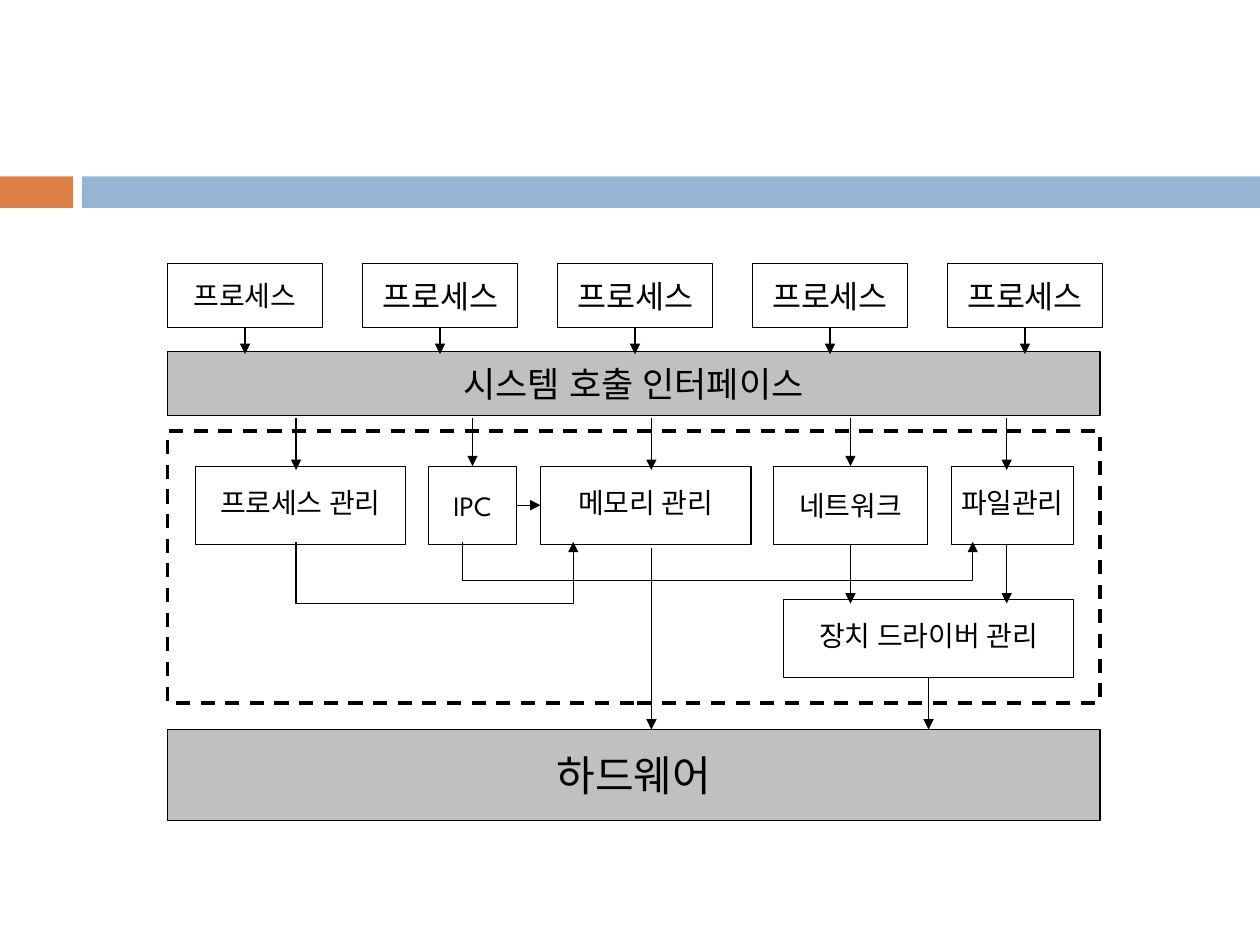
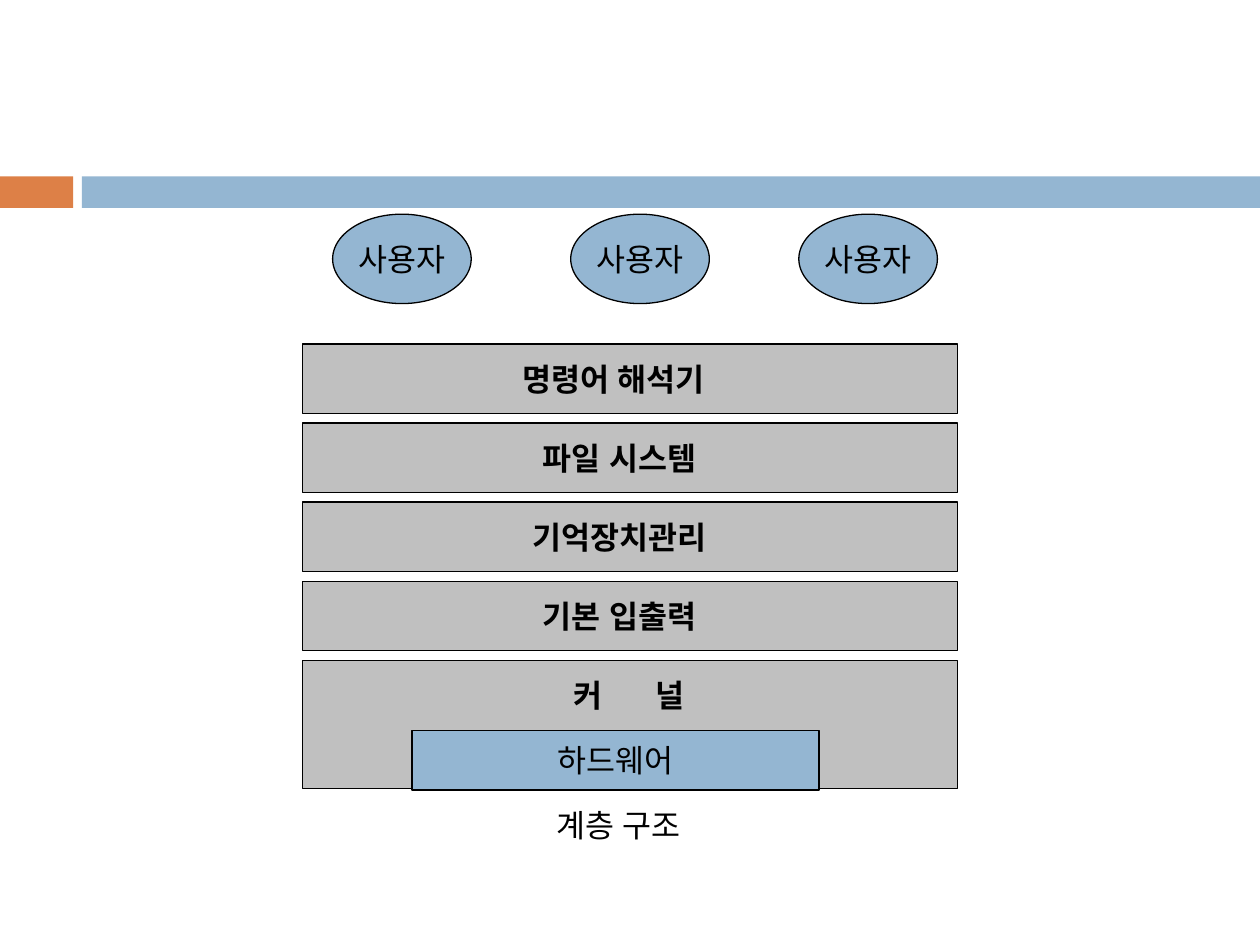
from dataclasses import dataclass
from typing import Optional

from lxml import etree
from pptx import Presentation
from pptx.dml.color import RGBColor
from pptx.enum.dml import MSO_LINE
from pptx.enum.shapes import MSO_CONNECTOR, MSO_SHAPE
from pptx.enum.text import MSO_ANCHOR, PP_ALIGN
from pptx.oxml.ns import qn
from pptx.util import Inches, Pt

RECT, OVAL = MSO_SHAPE.RECTANGLE, MSO_SHAPE.OVAL
STRAIGHT = MSO_CONNECTOR.STRAIGHT
DASH = MSO_LINE.DASH
LEFT, CENTER = PP_ALIGN.LEFT, PP_ALIGN.CENTER
TOP, MIDDLE = MSO_ANCHOR.TOP, MSO_ANCHOR.MIDDLE
SITE_TOP, SITE_LEFT, SITE_BOTTOM, SITE_RIGHT = range(4)


@dataclass(frozen=True)
class Theme:
    font: str = "League Spartan"
    ink: str = "000000"
    orange: str = "DD8047"
    blue: str = "94B6D2"
    grey: str = "C0C0C0"
    small: int = 16
    body: int = 18
    large: int = 20
    huge: int = 24
    thin: float = 0.75
    thick: float = 2


T = Theme()


@dataclass(frozen=True)
class Box:
    x: float
    y: float
    w: float
    h: float
    text: str = ""
    size: int = T.body
    fill: Optional[str] = None
    line: Optional[str] = T.ink
    shape: int = RECT
    spacing: Optional[float] = None


@dataclass(frozen=True)
class Label:
    x: float
    y: float
    w: float
    text: str
    bold: bool = True
    tab: Optional[float] = None


@dataclass(frozen=True)
class Arrow:
    x1: float
    y1: float
    x2: float
    y2: float
    start: Optional[tuple] = None  # (shape, connection site)
    end: Optional[tuple] = None


# ---- drawing helpers ----
def write(tf, text, size, align, bold=False, spacing=None, tab=None):
    p = tf.paragraphs[0]
    p.alignment = align
    if spacing:
        p.line_spacing = spacing
    if tab:
        tabs = etree.SubElement(p._p.get_or_add_pPr(), qn("a:tabLst"))
        etree.SubElement(tabs, qn("a:tab"), pos=str(Inches(tab)), algn="l")
    r = p.add_run()
    r.text = text
    for name, value in {"name": T.font, "size": Pt(size), "bold": bold}.items():
        setattr(r.font, name, value)
    r.font.color.rgb = RGBColor.from_string(T.ink)
    etree.SubElement(r._r.get_or_add_rPr(), qn("a:ea"), typeface=T.font)


def set_line(line, color=T.ink, width=T.thin, arrow=False):
    line.color.rgb = RGBColor.from_string(color)
    line.width = Pt(width)
    if arrow:
        etree.SubElement(line._get_or_add_ln(), qn("a:tailEnd"), type="triangle")


def add_box(s, b: Box):
    sp = s.shapes.add_shape(b.shape, Inches(b.x), Inches(b.y), Inches(b.w), Inches(b.h))
    sp.shadow.inherit = False
    if b.fill:
        sp.fill.solid()
        sp.fill.fore_color.rgb = RGBColor.from_string(b.fill)
    else:
        sp.fill.background()
    if b.line:
        set_line(sp.line, b.line)
    else:
        sp.line.fill.background()
    if b.text:
        tf = sp.text_frame
        for name, value in {"word_wrap": False, "vertical_anchor": MIDDLE}.items():
            setattr(tf, name, value)
        write(tf, b.text, b.size, CENTER, spacing=b.spacing)
    return sp


def add_label(s, lb: Label) -> None:
    sp = s.shapes.add_textbox(Inches(lb.x), Inches(lb.y), Inches(lb.w), Inches(0.4))
    tf = sp.text_frame
    for name, value in {"word_wrap": True, "vertical_anchor": TOP}.items():
        setattr(tf, name, value)
    write(tf, lb.text, T.body, LEFT, bold=lb.bold, tab=lb.tab)


def add_arrow(s, a: Arrow) -> None:
    c = s.shapes.add_connector(STRAIGHT, Inches(a.x1), Inches(a.y1),
                               Inches(a.x2), Inches(a.y2))
    if a.start:
        c.begin_connect(*a.start)
    if a.end:
        c.end_connect(*a.end)
    set_line(c.line, arrow=True)
    etree.SubElement(c._element.spPr, qn("a:effectLst"))


def add_detour(s, x1: float, x2: float, top: float, bottom: float) -> None:
    """Arrow that drops from x1, runs sideways and rises to x2."""
    fb = s.shapes.build_freeform(Inches(x1), Inches(top))
    points = [(x1, bottom), (x2, bottom), (x2, top)]
    fb.add_line_segments([(Inches(x), Inches(y)) for x, y in points], close=False)
    sp = fb.convert_to_shape()
    sp.shadow.inherit = False
    sp.fill.background()
    set_line(sp.line, arrow=True)


def new_slide(prs):
    s = prs.slides.add_slide(prs.slide_layouts[6])
    add_box(s, Box(0, 1.4, 0.58, 0.25, fill=T.orange, line=None))
    add_box(s, Box(0.65, 1.4, 9.35, 0.25, fill=T.blue, line=None))
    return s


# ---- slide 1: kernel components ----
def kernel_slide(prs) -> None:
    s = new_slide(prs)
    left, width = 1.33, 7.4
    frame = add_box(s, Box(left, 3.42, width, 2.16))
    frame.line.width = Pt(T.thick)
    frame.line.dash_style = DASH

    add_box(s, Box(left, 5.79, width, 0.72, "하드웨어", T.huge, T.grey))
    add_box(s, Box(left, 2.79, width, 0.51, "시스템 호출 인터페이스", T.large, T.grey))

    # Managers inside the kernel
    row, height = 3.7, 0.62
    managers = [
        (1.55, row, 1.67, "프로세스 관리", 0.8),
        (3.4, row, 0.7, "IPC", None),
        (4.29, row, 1.67, "메모리 관리", 0.8),
        (6.14, row, 1.22, "네트워크", None),
        (7.55, row, 0.97, "파일관리", 0.8),
        (6.22, 4.76, 2.3, "장치 드라이버 관리", 0.8),
    ]
    _, ipc, memory, network, _, driver = [
        add_box(s, Box(x, y, w, height, text, T.small, spacing=spacing))
        for x, y, w, text, spacing in managers]

    # User processes calling the interface
    step, process_w = (7.52 - left) / 4, 1.23
    for i in range(5):
        x = left + i * step
        size = T.body if i else T.small
        process = add_box(s, Box(x, 2.09, process_w, 0.51, "프로세스", size))
        mid = x + process_w / 2
        add_arrow(s, Arrow(mid, 2.6, mid, 2.81, start=(process, SITE_BOTTOM)))

    # Interface to managers
    for x, target in [(2.35, None), (3.75, ipc), (5.17, None), (6.75, network), (7.99, None)]:
        add_arrow(s, Arrow(x, 3.32, x, 3.73, end=(target, SITE_TOP) if target else None))

    # Managers to each other, to drivers and to hardware
    for arrow in [
        Arrow(4.1, 4.01, 4.29, 4.01, (ipc, SITE_RIGHT), (memory, SITE_LEFT)),
        Arrow(6.75, 4.32, 6.75, 4.79, start=(network, SITE_BOTTOM)),
        Arrow(7.99, 4.32, 7.99, 4.79),
        Arrow(7.37, 5.38, 7.37, 5.79, start=(driver, SITE_BOTTOM)),
        Arrow(5.17, 4.35, 5.17, 5.79),
    ]:
        add_arrow(s, arrow)
    add_detour(s, 3.67, 7.72, 4.3, 4.61)
    add_detour(s, 2.35, 4.55, 4.3, 4.79)


# ---- slide 2: layered structure ----
def layer_slide(prs) -> None:
    s = new_slide(prs)
    for x in (2.64, 4.53, 6.34):
        add_box(s, Box(x, 1.7, 1.1, 0.71, "사용자", fill=T.blue, shape=OVAL))

    # Layers from the shell down to the kernel
    top, step = 2.73, (5.24 - 2.73) / 4
    layers = [
        (4.05, 1.75, "명령어 해석기", 0.55, None),
        (4.21, 1.51, "파일 시스템", 0.55, None),
        (4.13, 1.67, "기억장치관리", 0.55, None),
        (4.21, 1.51, "기본 입출력", 0.55, None),
        (4.45, 1.18, "커\t널", 1.02, 0.65),
    ]
    for i, (x, w, text, height, tab) in enumerate(layers):
        y = top + i * step
        add_box(s, Box(2.4, y, 5.2, height, fill=T.grey))
        add_label(s, Label(x, y + 0.08, w, text, tab=tab))

    add_box(s, Box(3.27, 5.8, 3.23, 0.47, "하드웨어", fill=T.blue))
    add_label(s, Label(4.32, 6.35, 1.28, "계층 구조", bold=False))


def main() -> None:
    prs = Presentation()
    prs.slide_width, prs.slide_height = Inches(10), Inches(7.5)
    kernel_slide(prs)
    layer_slide(prs)
    prs.save("out.pptx")


if __name__ == "__main__":
    main()
